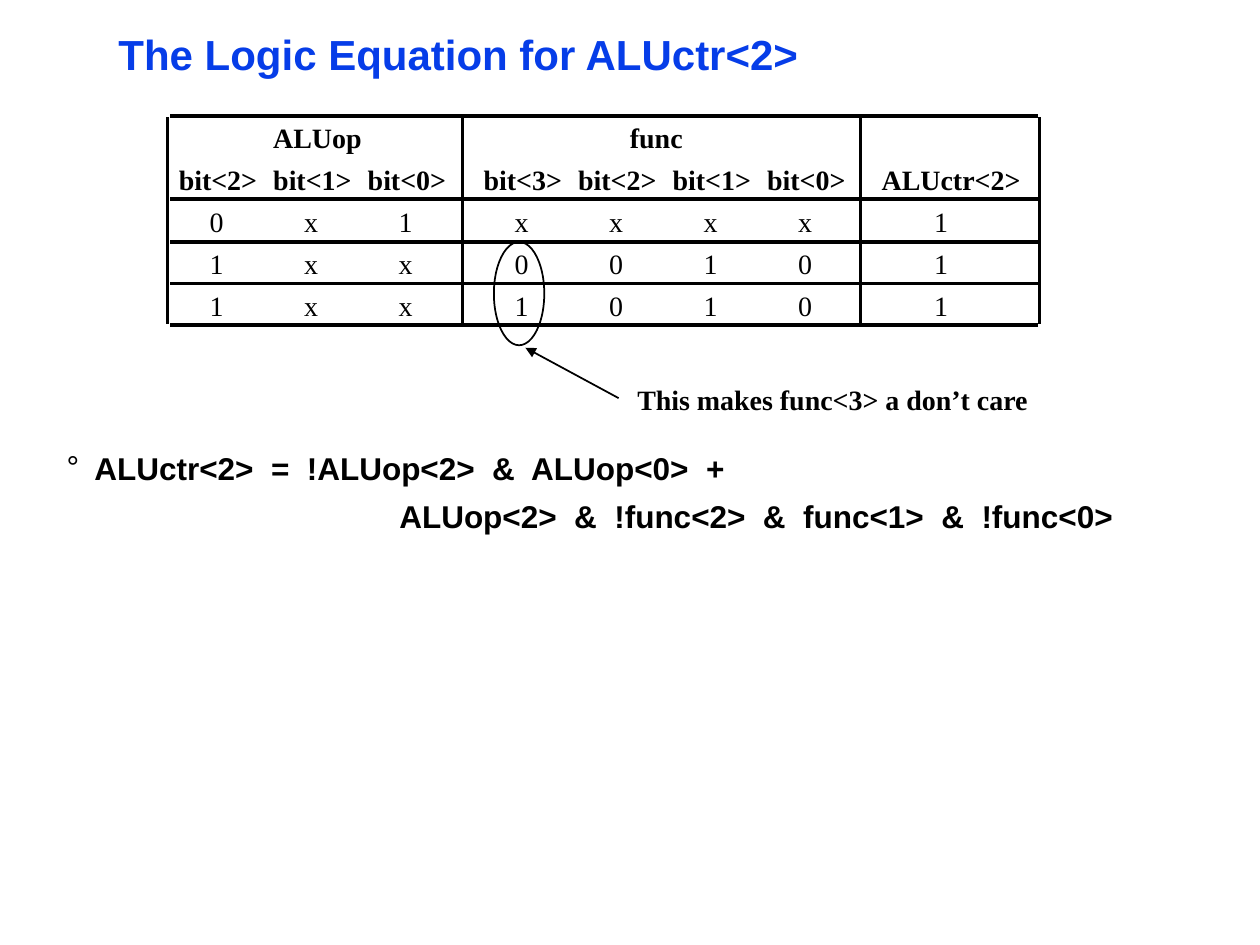
from dataclasses import dataclass

from lxml import etree
from pptx import Presentation
from pptx.dml import color
from pptx.enum import shapes, text
from pptx.oxml import ns
from pptx.util import Inches, Pt

BLACK = "000000"
BLUE = "063DE8"
PLAIN_STYLE = "{2D5ABB26-0587-4C30-8999-92F81FD0307C}"
TABLE_LEFT, TABLE_TOP, ROW_HEIGHT = 1.33, 0.92, 1 / 3


@dataclass
class Column:
    heading: str
    left: float
    right: float
    heading_centre: float
    value_centre: float


@dataclass
class Group:
    label: str
    first: int
    last: int
    centre: float


@dataclass
class Line:
    start: tuple[float, float]
    end: tuple[float, float]
    weight: float


COLUMNS = [
    Column("bit<2>", 1.33, 2.10, 1.73, 1.72),
    Column("bit<1>", 2.10, 2.85, 2.48, 2.47),
    Column("bit<0>", 2.85, 3.67, 3.23, 3.22),
    Column("bit<3>", 3.67, 4.51, 4.15, 4.14),
    Column("bit<2>", 4.51, 5.26, 4.90, 4.89),
    Column("bit<1>", 5.26, 6.01, 5.65, 5.64),
    Column("bit<0>", 6.01, 6.83, 6.40, 6.39),
    Column("ALUctr<2>", 6.83, 8.25, 7.55, 7.47),
]
GROUPS = [Group("ALUop", 0, 2, 2.52), Group("func", 3, 6, 5.21)]
VALUES = ["0x1xxxx1", "1xx00101", "1xx10101"]
RULES = [Line((1.35, y), (8.24, y), 2) for y in (0.92, 1.58, 1.92, 2.25, 2.58)]
RULES += [Line((x, 0.93), (x, 2.57), 2) for x in (1.33, 3.67, 6.83, 8.25)]


def rgb(value: str) -> color.RGBColor:
    return color.RGBColor.from_string(value)


def apply(target, values: dict) -> None:
    for name, value in values.items():
        setattr(target, name, value)


def add_element(parent, tag: str, **attributes):
    return etree.SubElement(parent, ns.qn(tag), attributes)


def set_margins(target, left: float, top: float, right: float, bottom: float) -> None:
    sides = zip(("left", "top", "right", "bottom"), (left, top, right, bottom))
    apply(target, {f"margin_{side}": Inches(size) for side, size in sides})


def set_outline(shape, weight: float) -> None:
    shape.line.color.rgb = rgb(BLACK)
    shape.line.width = Pt(weight)


def add_line(page, line: Line):
    connector = page.shapes.add_connector(
        shapes.MSO_CONNECTOR.STRAIGHT, *map(Inches, line.start + line.end))
    set_outline(connector, line.weight)
    add_element(connector._element.spPr, "a:effectLst")
    return connector


def write(para, words: str, font: str, size: float, bold: bool, hue: str = BLACK) -> None:
    span = para.add_run()
    span.text = words
    apply(span.font, {"name": font, "size": Pt(size), "bold": bold})
    span.font.color.rgb = rgb(hue)


def fill_cell(cell, words: str, left: float, right: float, centre: float, bold: bool) -> None:
    shift = 2 * centre - left - right
    set_margins(cell, max(shift, 0), 0.03, max(-shift, 0), 0)
    cell.vertical_anchor = text.MSO_ANCHOR.MIDDLE
    para = cell.text_frame.paragraphs[0]
    para.alignment = text.PP_ALIGN.CENTER
    write(para, words, "Times New Roman", 16, bold)


def add_truth_table(page) -> None:
    row_count = len(VALUES) + 2
    frame = page.shapes.add_table(
        row_count, len(COLUMNS), Inches(TABLE_LEFT), Inches(TABLE_TOP),
        Inches(COLUMNS[-1].right - TABLE_LEFT), Inches(ROW_HEIGHT * row_count))
    table = frame.table
    apply(table, {"first_row": False, "horz_banding": False})
    table._tbl.tblPr.find(ns.qn("a:tableStyleId")).text = PLAIN_STYLE
    for row in table.rows:
        row.height = Inches(ROW_HEIGHT)
    for cell in table.iter_cells():
        cell.fill.background()
        set_margins(cell, 0, 0, 0, 0)

    for index, column in enumerate(COLUMNS):
        table.columns[index].width = Inches(column.right - column.left)
        fill_cell(table.cell(1, index), column.heading, column.left, column.right,
                  column.heading_centre, True)
        for row, values in enumerate(VALUES, start=2):
            fill_cell(table.cell(row, index), values[index], column.left, column.right,
                      column.value_centre, False)

    for group in GROUPS:
        cell = table.cell(0, group.first)
        cell.merge(table.cell(0, group.last))
        fill_cell(cell, group.label, COLUMNS[group.first].left,
                  COLUMNS[group.last].right, group.centre, True)

    for rule in RULES:
        add_line(page, rule)


def add_title(page) -> None:
    title = page.shapes.title
    apply(title, {"left": Inches(0.87), "top": Inches(0.25),
                  "width": Inches(5.54), "height": Inches(0.75)})
    frame = title.text_frame
    apply(frame, {"word_wrap": True, "auto_size": text.MSO_AUTO_SIZE.NONE,
                  "vertical_anchor": text.MSO_ANCHOR.TOP})
    set_margins(frame, 0.07, 0.03, 0.07, 0.03)
    para = frame.paragraphs[0]
    apply(para, {"alignment": text.PP_ALIGN.LEFT, "line_spacing": 0.87})
    write(para, "The Logic Equation for ALUctr<2>", "Arial", 24, True, BLUE)


def add_equation(page) -> None:
    box = page.shapes.add_textbox(Inches(0.46), Inches(3.58), Inches(8.96), Inches(0.69))
    frame = box.text_frame
    frame.word_wrap = True
    set_margins(frame, 0.07, 0.03, 0.07, 0.03)
    first, second = frame.paragraphs[0], frame.add_paragraph()
    properties = first._p.get_or_add_pPr()
    properties.set("marL", str(Inches(0.22)))
    properties.set("indent", str(Inches(-0.22)))
    bullet_color = add_element(properties, "a:buClr")
    add_element(bullet_color, "a:srgbClr", val=BLACK)
    add_element(properties, "a:buFont", typeface="Arial")
    add_element(properties, "a:buChar", char="°")
    second._p.get_or_add_pPr().set("marL", str(Inches(2.64)))
    first.line_spacing = 0.85
    apply(second, {"line_spacing": 0.85, "space_before": Pt(9)})
    write(first, "ALUctr<2>  =  !ALUop<2>  &  ALUop<0>  +", "Arial", 18, True)
    write(second, "ALUop<2>  &  !func<2>  &  func<1>  &  !func<0>", "Arial", 18, True)


def add_callout(page) -> None:
    ring = page.shapes.add_shape(
        shapes.MSO_SHAPE.OVAL, Inches(3.92), Inches(1.92), Inches(0.4), Inches(0.82))
    ring.shadow.inherit = False
    ring.fill.background()
    set_outline(ring, 1)
    arrow = add_line(page, Line((4.17, 2.76), (4.91, 3.16), 1))
    add_element(arrow.line._get_or_add_ln(), "a:headEnd", type="triangle")

    caption = page.shapes.add_textbox(Inches(4.96), Inches(2.99), Inches(3.3), Inches(0.36))
    caption.text_frame.word_wrap = False
    write(caption.text_frame.paragraphs[0], "This makes func<3> a don’t care",
          "Times New Roman", 16, True)


def main() -> None:
    deck = Presentation()
    apply(deck, {"slide_width": Inches(10), "slide_height": Inches(7.5)})
    page = deck.slides.add_slide(deck.slide_layouts[5])
    add_title(page)
    add_truth_table(page)
    add_equation(page)
    add_callout(page)
    deck.save("out.pptx")


if __name__ == "__main__":
    main()
